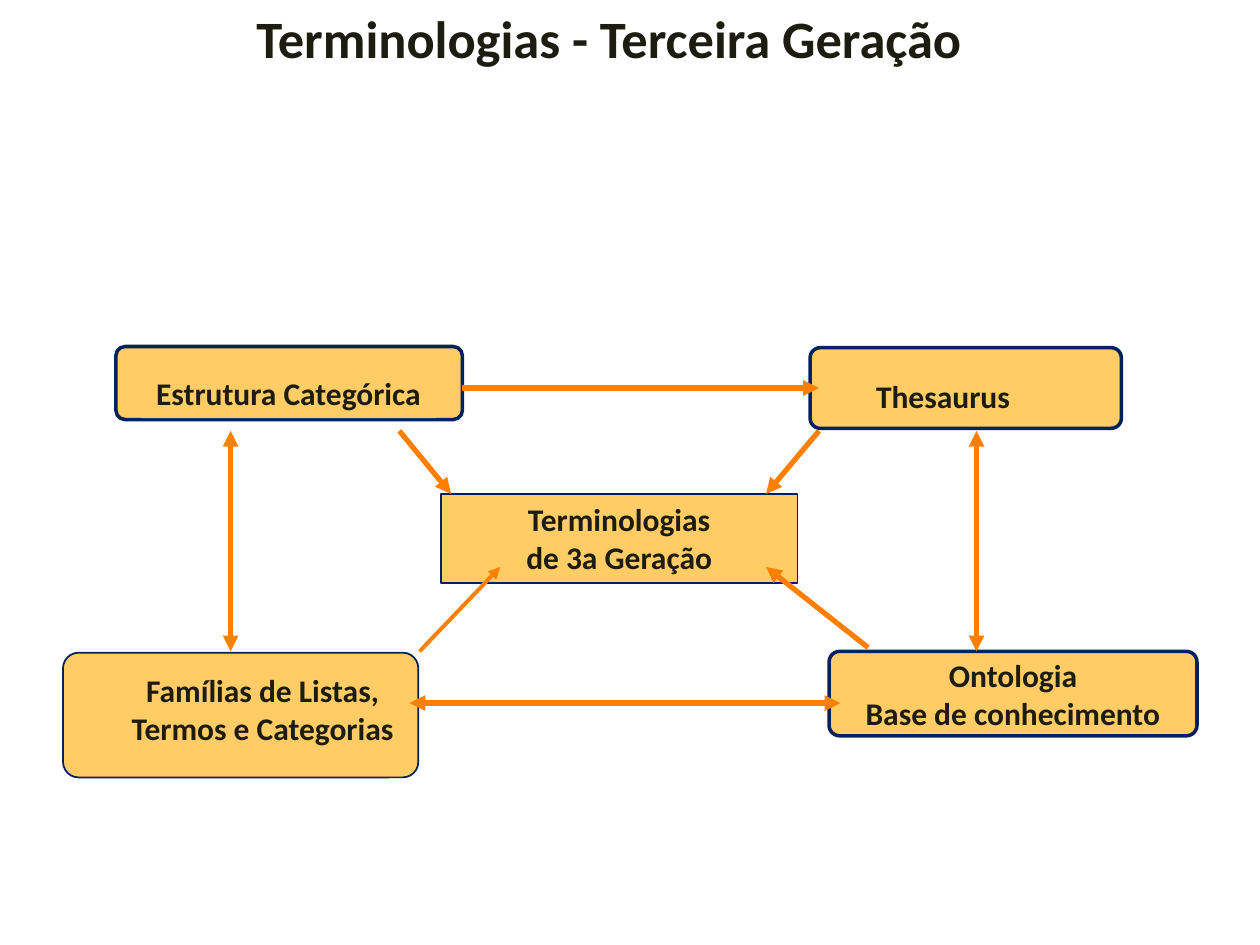
from lxml import etree
from pptx import Presentation
from pptx.dml.color import RGBColor
from pptx.enum.shapes import MSO_CONNECTOR, MSO_SHAPE
from pptx.enum.text import MSO_ANCHOR, PP_ALIGN
from pptx.oxml.ns import qn
from pptx.util import Inches, Pt

RECTANGLE, ROUNDED = MSO_SHAPE.RECTANGLE, MSO_SHAPE.ROUNDED_RECTANGLE
STRAIGHT = MSO_CONNECTOR.STRAIGHT
CENTER = PP_ALIGN.CENTER
TOP, MIDDLE = MSO_ANCHOR.TOP, MSO_ANCHOR.MIDDLE

INK = RGBColor(0x1C, 0x1C, 0x11)
GOLD = RGBColor(0xFF, 0xCC, 0x66)
NAVY = RGBColor(0x00, 0x20, 0x60)
ORANGE = RGBColor(0xFF, 0x80, 0x00)


def write_text(shape, text, size, anchor):
    frame = shape.text_frame
    frame.text = text
    frame.vertical_anchor = anchor
    para = frame.paragraphs[0]
    para.alignment = CENTER
    for span in para.runs:
        span.font.name = "Calibri"
        span.font.size = Pt(size)
        span.font.bold = True
        span.font.color.rgb = INK


deck = Presentation()
deck.slide_width, deck.slide_height = Inches(10), Inches(7.5)
page = deck.slides.add_slide(deck.slide_layouts[5])

# Title
title = page.shapes.title
title.left, title.top = Inches(1.42), Inches(0)
title.width, title.height = Inches(6.83), Inches(0.6)
write_text(title, "Terminologias - Terceira Geração", 30, TOP)

# Boxes and their labels: preset, position, line width, text, anchor
boxes = [
    (ROUNDED, (0.92, 2.75, 2.75, 0.58), 2, "", TOP),
    (RECTANGLE, (1.12, 2.92, 2.34, 0.4), 0, "Estrutura Categórica", TOP),
    (ROUNDED, (6.43, 2.76, 2.47, 0.64), 2, "", TOP),
    (RECTANGLE, (6.85, 2.94, 1.27, 0.4), 0, "Thesaurus", TOP),
    (ROUNDED, (0.5, 5.18, 2.82, 0.99), 1, "", TOP),
    (RECTANGLE, (0.92, 5.28, 2.33, 0.7), 0,
     "Famílias de Listas,\vTermos e Categorias", TOP),
    (ROUNDED, (6.58, 5.17, 2.92, 0.67), 2,
     "Ontologia\vBase de conhecimento", MIDDLE),
    (RECTANGLE, (3.5, 3.92, 2.83, 0.71), 1,
     "Terminologias\vde 3a Geração", TOP),
]
for preset, place, line_width, text, anchor in boxes:
    box = page.shapes.add_shape(preset, *[Inches(value) for value in place])
    box.shadow.inherit = False
    box.fill.solid()
    box.fill.fore_color.rgb = GOLD
    if preset == ROUNDED:
        box.adjustments[0] = 0.125
    if line_width:
        box.line.color.rgb = NAVY
        box.line.width = Pt(line_width)
    else:
        box.line.fill.background()
    if text:
        box.text_frame.word_wrap = False
        write_text(box, text, 18, anchor)

# Arrows: start, end, width, whether both ends have a head
arrows = [
    ((3.17, 3.42), (3.58, 3.92), 3, False),
    ((6.5, 3.42), (6.08, 3.92), 3, False),
    ((3.33, 5.17), (3.97, 4.5), 2.25, False),
    ((6.89, 5.14), (6.08, 4.5), 3, False),
    ((3.67, 3.08), (6.5, 3.08), 3, False),
    ((1.83, 3.42), (1.83, 5.17), 3, True),
    ((7.75, 3.42), (7.75, 5.17), 3, True),
    ((3.25, 5.58), (6.67, 5.58), 3, True),
]
for start, end, width, both_ends in arrows:
    arrow = page.shapes.add_connector(
        STRAIGHT, *[Inches(value) for value in start + end])
    arrow.line.color.rgb = ORANGE
    arrow.line.width = Pt(width)
    line = arrow.line._get_or_add_ln()
    for tag in ("a:headEnd", "a:tailEnd") if both_ends else ("a:tailEnd",):
        etree.SubElement(line, qn(tag), type="triangle")
    etree.SubElement(arrow._element.spPr, qn("a:effectLst"))

deck.save("out.pptx")
